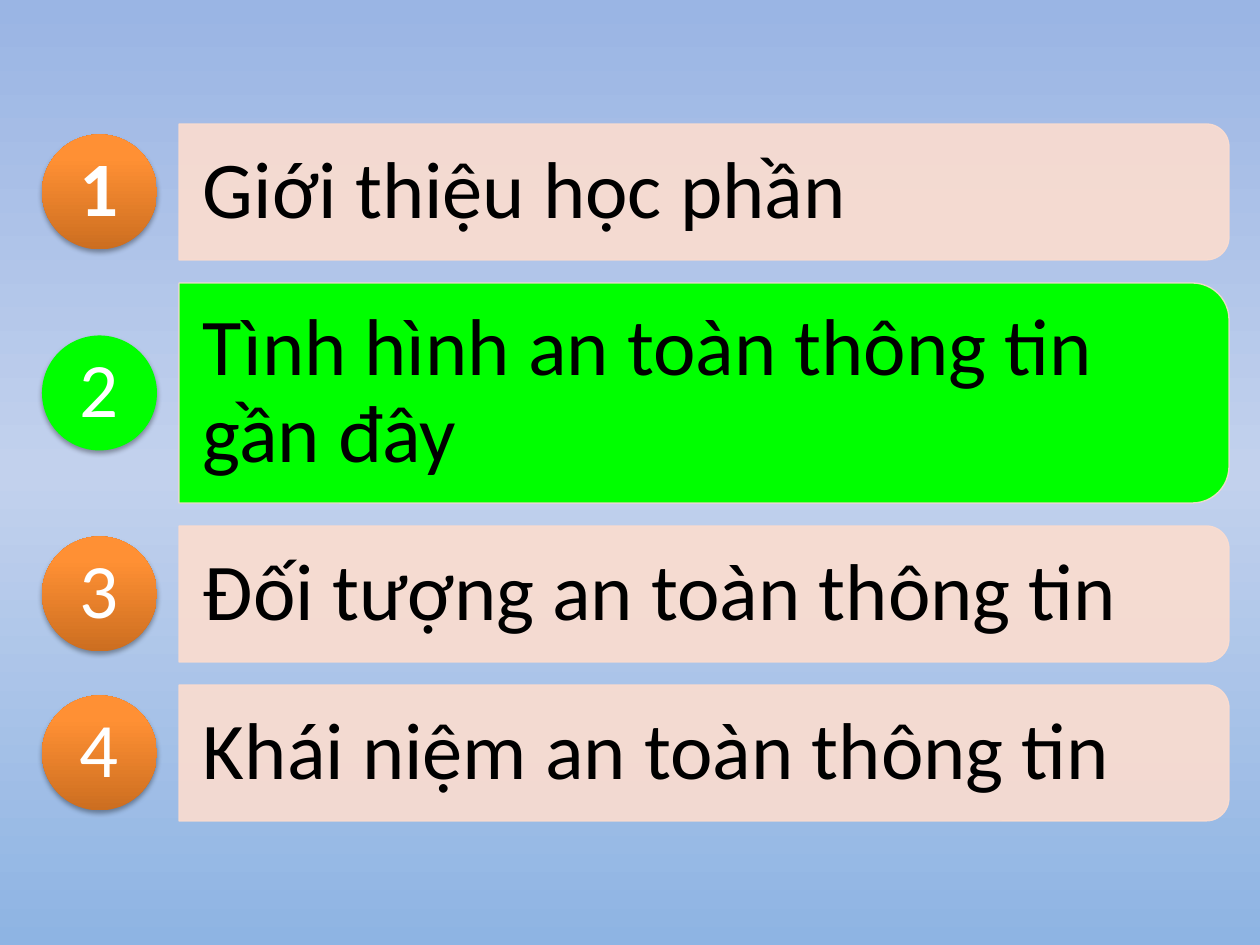
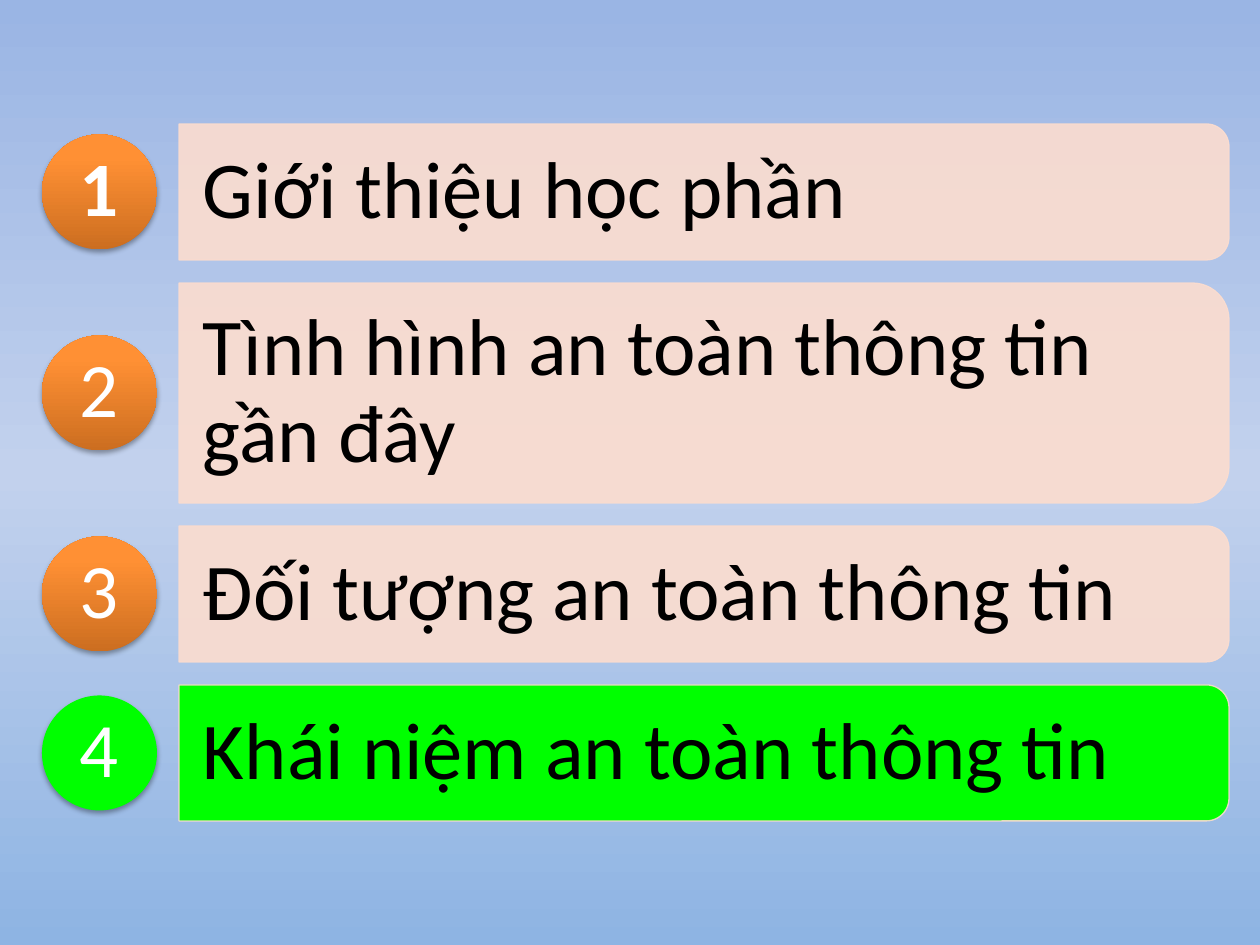
import pptx
import pptx.dml.color
import pptx.enum.shapes
import pptx.enum.text
import pptx.oxml
import pptx.oxml.ns
import pptx.util

PX = 914400 // 126
COLORS = {
    "bar": "FCDDCF",
    "current": "00FF00",
    "title": "000000",
    "number": "FFFFFF",
    "shadow": "000000",
}
SKY = [(0, "9AB5E4"), (50, "C2D1ED"), (100, "8EB4E3")]
ORANGE = [(0, "CC6E20"), (80, "FF9034"), (100, "FF9136")]
FONT = "Calibri"
TOPICS = [
    ("Giới thiệu học phần", 136),
    ("Tình hình an toàn thông tin gần đây", 220),
    ("Đối tượng an toàn thông tin", 136),
    ("Khái niệm an toàn thông tin", 136),
]
AGENDA_LEFT, AGENDA_TOP, AGENDA_WIDTH = 42, 124, 1187
ROW_GAP = 23
BADGE = 115
BAR_OFFSET = 137


def px(*lengths):
    return [round(length * PX) for length in lengths]


def rgb(name):
    return pptx.dml.color.RGBColor.from_string(COLORS[name])


def xml(tag, attributes="", inner=""):
    return pptx.oxml.parse_xml(
        f"<a:{tag} {pptx.oxml.ns.nsdecls('a')} {attributes}>{inner}</a:{tag}>"
    )


def set_gradient(fill, parent, stops, angle):
    fill.solid()
    solid = parent.find(".//" + pptx.oxml.ns.qn("a:solidFill"))
    inner = "".join(
        f'<a:gs pos="{pos * 1000}"><a:srgbClr val="{color}"/></a:gs>'
        for pos, color in stops
    )
    gradient = xml(
        "gradFill", 'rotWithShape="1"',
        f'<a:gsLst>{inner}</a:gsLst><a:lin ang="{angle * 60000}" scaled="0"/>',
    )
    solid.getparent().replace(solid, gradient)


def set_alpha(color_parent, percent):
    for color in color_parent.iter(pptx.oxml.ns.qn("a:srgbClr")):
        color.append(xml("alpha", f'val="{percent * 1000}"'))


def write(sp, text, size, color, align, insets, bold=False):
    tf = sp.text_frame
    tf.word_wrap = True
    tf.vertical_anchor = pptx.enum.text.MSO_ANCHOR.MIDDLE
    tf.margin_left, tf.margin_top, tf.margin_right, tf.margin_bottom = px(*insets)
    tf.text = text
    p = tf.paragraphs[0]
    p.alignment = align
    p.line_spacing = 0.9
    r = p.runs[0]
    r.font.name = FONT
    r.font.size = pptx.util.Pt(size)
    r.font.bold = bold
    r.font.color.rgb = rgb(color)


def add_bar(s, x, y, w, h, title, is_current):
    sp = s.shapes.add_shape(
        pptx.enum.shapes.MSO_SHAPE.ROUND_2_SAME_RECTANGLE,
        *px(x + (w - h) / 2, y + (h - w) / 2, h, w),
    )
    sp.rotation = 90
    sp.shadow.inherit = False
    sp.fill.solid()
    sp.fill.fore_color.rgb = rgb("current" if is_current else "bar")
    sp.line.color.rgb = rgb("bar")
    sp.line.width = pptx.util.Pt(0.75)
    properties = sp.element.spPr
    set_alpha(properties.find(pptx.oxml.ns.qn("a:ln")) if is_current else properties, 90)

    label = s.shapes.add_textbox(*px(x, y, w - 8, h))
    write(label, title, 46, "title", pptx.enum.text.PP_ALIGN.LEFT, (24, 16, 24, 16))


def add_badge(s, x, y, size, number, is_current):
    sp = s.shapes.add_shape(pptx.enum.shapes.MSO_SHAPE.OVAL, *px(x, y, size, size))
    if is_current:
        sp.fill.solid()
        sp.fill.fore_color.rgb = rgb("current")
    else:
        set_gradient(sp.fill, sp.element.spPr, ORANGE, 270)
    sp.line.fill.background()
    sp.shadow.inherit = False
    effects = sp.element.spPr.find(pptx.oxml.ns.qn("a:effectLst"))
    shadow = xml(
        "outerShdw", 'blurRad="39400" dist="22900" dir="5400000" rotWithShape="0"',
        f'<a:srgbClr val="{COLORS["shadow"]}"/>',
    )
    set_alpha(shadow, 35)
    effects.append(shadow)
    write(sp, str(number), 44, "number", pptx.enum.text.PP_ALIGN.CENTER,
          (0, 0, 0, 0), bold=number == 1)


def add_agenda(s, x, y, w, current):
    for number, (title, height) in enumerate(TOPICS, 1):
        is_current = number == current
        add_bar(s, x + BAR_OFFSET, y, w - BAR_OFFSET, height, title, is_current)
        add_badge(s, x, y + (height - BADGE) / 2, BADGE, number, is_current)
        y += height + ROW_GAP


def add_agenda_slide(prs, current):
    s = prs.slides.add_slide(prs.slide_layouts[6])
    set_gradient(s.background.fill, s.element, SKY, 90)
    add_agenda(s, AGENDA_LEFT, AGENDA_TOP, AGENDA_WIDTH, current)


def main():
    prs = pptx.Presentation()
    prs.slide_width = pptx.util.Inches(10)
    prs.slide_height = pptx.util.Inches(7.5)
    for current in (2, 4):
        add_agenda_slide(prs, current)
    prs.save("out.pptx")


if __name__ == "__main__":
    main()
